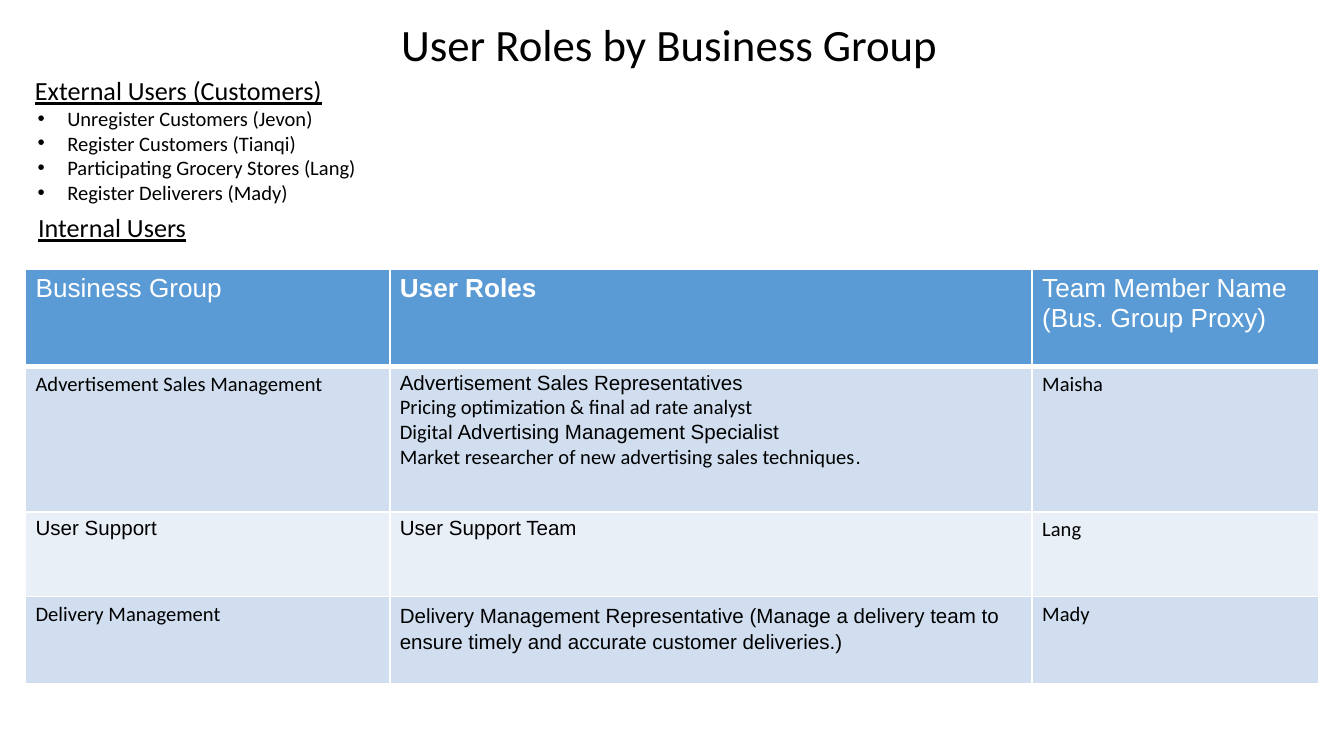
from lxml import etree
from pptx import Presentation
from pptx.dml.color import RGBColor
from pptx.enum.text import MSO_AUTO_SIZE
from pptx.oxml.ns import qn
from pptx.util import Inches, Pt

GROW = MSO_AUTO_SIZE.SHAPE_TO_FIT_TEXT
WIDTH = 10
HEIGHT = WIDTH * 9 / 16
SANS, BODY = "Arial", "Calibri"
BLACK, WHITE, BLUE = "000000", "FFFFFF", "5B9BD5"
BANDS = ["D0DEEF", "E9EFF7"]


def rgb(color):
    return RGBColor.from_string(color)


class RolesSlide:
    heading_size, body_size = 14, 11
    insets = (5.4, 2.7)

    def __init__(self, prs):
        self.s = prs.slides.add_slide(prs.slide_layouts[6])

    def x(self, percent):
        return Inches(WIDTH * percent / 100)

    def y(self, percent):
        return Inches(HEIGHT * percent / 100)

    def style(self, r, size, font=BODY, color=BLACK, bold=False, underline=False):
        r.font.size = Pt(size)
        r.font.name = font
        r.font.color.rgb = rgb(color)
        r.font.bold = bold
        r.font.underline = underline

    def pad(self, holder, insets):
        holder.margin_left = holder.margin_right = Pt(insets[0])
        holder.margin_top = holder.margin_bottom = Pt(insets[1])

    def bullet(self, p):
        pPr = p._p.get_or_add_pPr()
        pPr.set("marL", str(Inches(0.24)))
        pPr.set("indent", str(Inches(-0.22)))
        buClr = etree.SubElement(pPr, qn("a:buClr"))
        etree.SubElement(buClr, qn("a:srgbClr"), val=BLACK)
        etree.SubElement(pPr, qn("a:buFont"), typeface=SANS)
        etree.SubElement(pPr, qn("a:buChar"), char="•")

    def text(self, box, heading, size=heading_size, underline=True, items=(), insets=insets):
        left, top, width, height = box
        sp = self.s.shapes.add_textbox(self.x(left), self.y(top), self.x(width), self.y(height))
        tf = sp.text_frame
        tf.word_wrap = True
        tf.auto_size = GROW
        self.pad(tf, insets)
        tf.text = "\n".join([heading, *items])
        title, *bullets = tf.paragraphs
        self.style(title.runs[0], size, underline=underline)
        for p in bullets:
            self.bullet(p)
            self.style(p.runs[0], self.body_size)

    def borders(self, cell, bottom):
        tcPr = cell._tc.get_or_add_tcPr()
        for side, width in (("L", 1), ("R", 1), ("T", 1), ("B", bottom)):
            ln = etree.SubElement(tcPr, qn(f"a:ln{side}"), w=str(Pt(width)))
            fill = etree.SubElement(ln, qn("a:solidFill"))
            etree.SubElement(fill, qn("a:srgbClr"), val=WHITE)

    def cell(self, cell, paragraphs, fill, size, color, bold=False, bottom=1):
        self.borders(cell, bottom)
        cell.fill.solid()
        cell.fill.fore_color.rgb = rgb(fill)
        self.pad(cell, self.insets)
        tf = cell.text_frame
        for i, runs in enumerate(paragraphs):
            p = tf.add_paragraph() if i else tf.paragraphs[0]
            for words, font in runs:
                r = p.add_run()
                r.text = words
                self.style(r, size, font, color, bold)

    def table(self, left, top, columns, heights, header, rows):
        frame = self.s.shapes.add_table(
            len(heights), len(columns), self.x(left), self.y(top),
            self.x(sum(columns)), self.y(sum(heights)))
        table = frame.table
        for column, width in zip(table.columns, columns):
            column.width = self.x(width)
        for row, height in zip(table.rows, heights):
            row.height = self.y(height)
        for j, lines in enumerate(header):
            paragraphs = [[(line, SANS)] for line in lines]
            self.cell(table.cell(0, j), paragraphs, BLUE, self.heading_size, WHITE,
                      bold=lines == ["User Roles"], bottom=3)
        for i, row in enumerate(rows):
            for j, paragraphs in enumerate(row):
                self.cell(table.cell(i + 1, j), paragraphs, BANDS[i % 2], self.body_size, BLACK)
        return table


def main():
    prs = Presentation()
    prs.slide_width, prs.slide_height = Inches(WIDTH), Inches(HEIGHT)
    slide = RolesSlide(prs)

    header = [["Business Group"], ["User Roles"], ["Team Member Name", "(Bus. Group Proxy)"]]
    rows = [
        [
            [[("Advertisement Sales Management", BODY)]],
            [
                [("Advertisement Sales Representatives", SANS)],
                [("Pricing optimization & final ad rate analyst", BODY)],
                [("Digital ", BODY), ("Advertising Management Specialist", SANS)],
                [("Market researcher of new advertising sales techniques", BODY), (".", SANS)],
            ],
            [[("Maisha", BODY)]],
        ],
        [
            [[("User Support", SANS)]],
            [[("User Support Team", SANS)]],
            [[("Lang", BODY)]],
        ],
        [
            [[("Delivery Management", BODY)]],
            [[("Delivery Management Representative (Manage a delivery team to "
               "ensure timely and accurate customer deliveries.)", SANS)]],
            [[("Mady", BODY)]],
        ],
    ]
    table = slide.table(1.9, 35.6, [27.1, 47.8, 21.3], [12.9, 19.2, 11.2, 11.5], header, rows)
    table.cell(2, 1).text_frame.paragraphs[0].space_before = Pt(12)
    table.cell(3, 1).text_frame.paragraphs[0].line_spacing = 1.15

    slide.text((1.85, 26.2, 32.8, 7.8), "Internal Users", insets=(7.2, 7.2))
    slide.text((1.85, 9.2, 36.5, 18.7), "External Users (Customers)", items=[
        "Unregister Customers (Jevon)",
        "Register Customers (Tianqi)",
        "Participating Grocery Stores (Lang)",
        "Register Deliverers (Mady)",
    ])
    slide.text((29.1, 1.6, 41.8, 8.5), "User Roles by Business Group", size=24, underline=False)
    prs.save("out.pptx")


if __name__ == "__main__":
    main()
